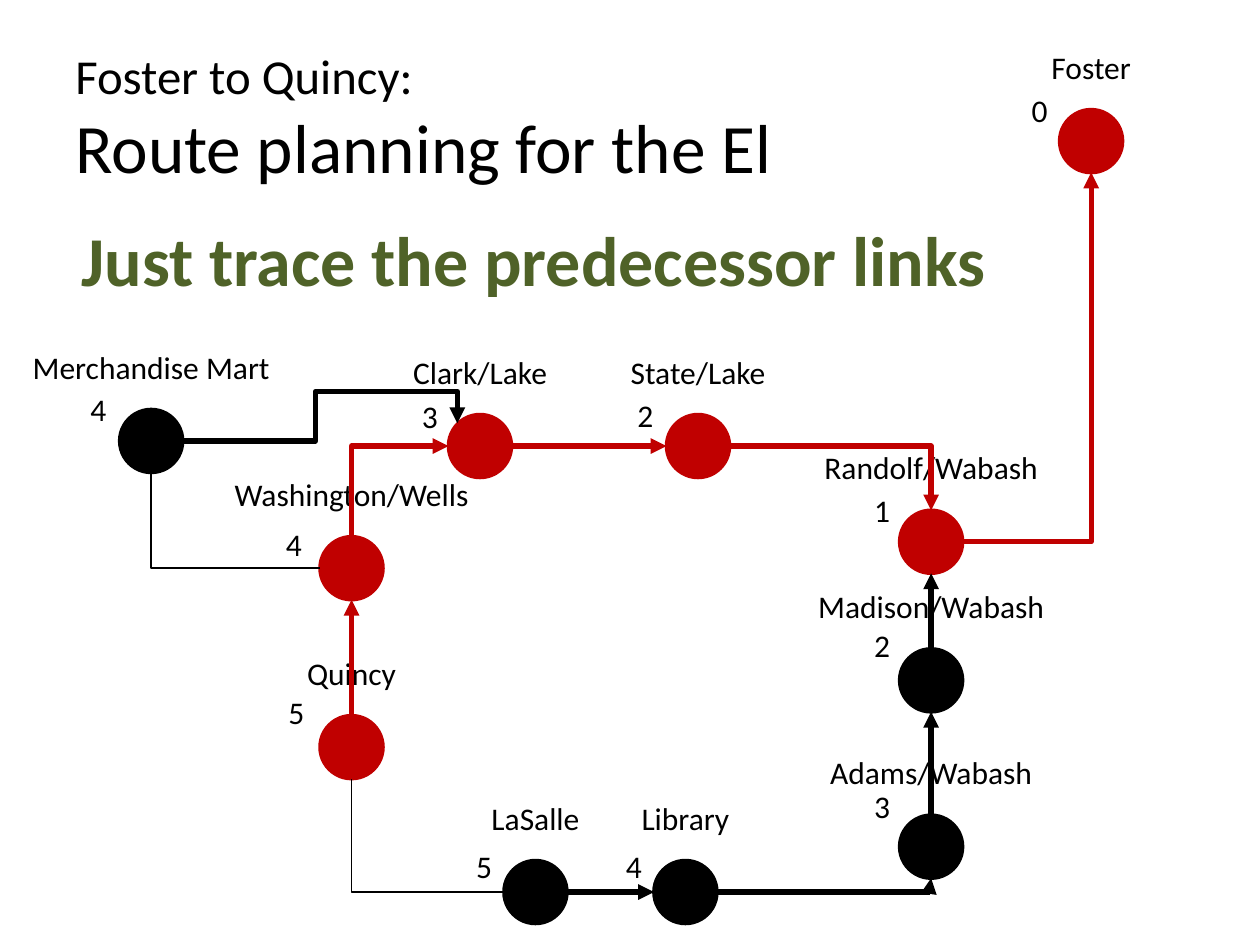
import pptx
import pptx.util
import pptx.dml.color
import pptx.enum.shapes
import pptx.enum.text
import pptx.oxml.ns
import pptx.oxml.xmlchemy

prs = pptx.Presentation()
prs.slide_width = pptx.util.Inches(10)
prs.slide_height = pptx.util.Inches(7.5)
s = prs.slides.add_slide(prs.slide_layouts[6])
cell = prs.slide_width // 100
RED, BLACK, GREEN = "C00000", "000000", "4F6228"


def paint(fmt, color):
    if hasattr(fmt, "solid"):
        fmt.solid()
        fmt = fmt.fore_color
    fmt.rgb = pptx.dml.color.RGBColor.from_string(color)


def write(col, row, cols, rows, lines, color=BLACK, wrap=False, anchor="TOP", align="LEFT", **extra):
    sp = s.shapes.add_textbox(*[int(v * cell) for v in (col, row, cols, rows)])
    tf = sp.text_frame
    box = {"word_wrap": wrap, "vertical_anchor": pptx.enum.text.MSO_ANCHOR[anchor]}
    for name, value in box.items():
        setattr(tf, name, value)
    p = tf.paragraphs[0]
    p.alignment = pptx.enum.text.PP_ALIGN[align]
    for i, (text, size) in enumerate(lines):
        if i:
            p.add_line_break()
        r = p.add_run()
        r.text = text
        font = {"name": "Calibri", "size": pptx.util.Pt(size), **extra}
        for name, value in font.items():
            setattr(r.font, name, value)
        paint(r.font.color, color)


write(5, 3, 90, 12.5, [("Foster to Quincy:", 27.9), ("Route planning for the El", 39.6)],
      wrap=True, anchor="MIDDLE")

stations = [
    ("Foster", 86.6, 11.2, RED, 8.4, "0", 80.9, 6.7),
    ("State/Lake", 55.4, 35.4, RED, 12.8, "2", 49.6, 30.9),
    ("Adams/Wabash", 73.9, 67.2, BLACK, 18.2, "3", 68.4, 62),
    ("Madison/Wabash", 73.9, 54, BLACK, 20.1, "2", 68.4, 49.2),
    ("Randolf/Wabash", 73.9, 43, RED, 19.1, "1", 68.4, 38.5),
    ("Clark/Lake", 38.1, 35.4, RED, 12.8, "3", 32.5, 31),
    ("Quincy", 27.9, 59.3, RED, 9.2, "5", 21.9, 54.5),
    ("LaSalle", 42.5, 70.8, BLACK, 9.1, "5", 36.8, 66.7),
    ("Library", 54.4, 70.8, BLACK, 9.1, "4", 48.7, 66.7),
    ("Washington/Wells", 27.9, 45.1, RED, 20.8, "4", 21.7, 41.2),
    ("Merchandise Mart", 12, 35, BLACK, 21, "4", 6.2, 30.5),
]
dot = 5
for label, x, y, color, width, hops, hops_x, hops_y in stations:
    box = [int(v * cell) for v in (x - dot / 2, y - dot / 2, dot, dot)]
    sp = s.shapes.add_shape(pptx.enum.shapes.MSO_SHAPE.OVAL, *box)
    sp.shadow.inherit = False
    sp.line.width = pptx.util.Pt(2)
    paint(sp.fill, color)
    paint(sp.line.fill, color)
    write(x - width / 2, y - 7.9, width, 4, [(label, 18)], align="CENTER")
    write(hops_x, hops_y, 3.3, 4, [(hops, 18)])

links = [
    ("line", 73.9, 51.5, 73.9, 45.5, BLACK, 3, "tailEnd", {}),
    ("line", 73.9, 64.7, 73.9, 56.5, BLACK, 3, "tailEnd", {}),
    ("bentConnector2", 76.4, 43, 86.6, 13.7, RED, 3, "tailEnd", {}),
    ("bentConnector2", 56.9, 70.8, 73.9, 69.7, BLACK, 3, "tailEnd", {}),
    ("line", 45, 70.8, 51.9, 70.8, BLACK, 3, "tailEnd", {}),
    ("bentConnector2", 40, 70.8, 27.9, 61.8, BLACK, 1, None, {}),
    ("line", 27.9, 56.8, 27.9, 47.6, RED, 3, "tailEnd", {}),
    ("bentConnector2", 35.6, 35.4, 27.9, 42.6, RED, 3, "headEnd", {}),
    ("line", 40.6, 35.4, 52.9, 35.4, RED, 3, "tailEnd", {}),
    ("bentConnector2", 57.9, 35.4, 73.9, 40.5, RED, 3, "tailEnd", {}),
    ("bentConnector2", 25.4, 45.1, 12, 37.5, BLACK, 1, None, {}),
    ("bentConnector4", 14.5, 35, 36.3, 33.6, BLACK, 3, "tailEnd", {"adj1": 48300, "adj2": 280000}),
]
for preset, x1, y1, x2, y2, color, weight, arrow, bends in links:
    ends = [int(v * cell) for v in (x1, y1, x2, y2)]
    sp = s.shapes.add_connector(pptx.enum.shapes.MSO_CONNECTOR.STRAIGHT, *ends)
    paint(sp.line.fill, color)
    sp.line.width = pptx.util.Pt(weight)
    props = sp._element.spPr
    geom = props.find(pptx.oxml.ns.qn("a:prstGeom"))
    geom.set("prst", preset)
    guides = geom.find(pptx.oxml.ns.qn("a:avLst"))
    for name, value in bends.items():
        gd = pptx.oxml.xmlchemy.OxmlElement("a:gd")
        gd.set("name", name)
        gd.set("fmla", f"val {value}")
        guides.append(gd)
    if arrow:
        tip = pptx.oxml.xmlchemy.OxmlElement(f"a:{arrow}")
        tip.set("type", "triangle")
        sp.line._get_or_add_ln().append(tip)
    props.append(pptx.oxml.xmlchemy.OxmlElement("a:effectLst"))

write(5.5, 16.7, 74.6, 7.7, [("Just trace the predecessor links", 40)], color=GREEN, bold=True)

prs.save("out.pptx")
